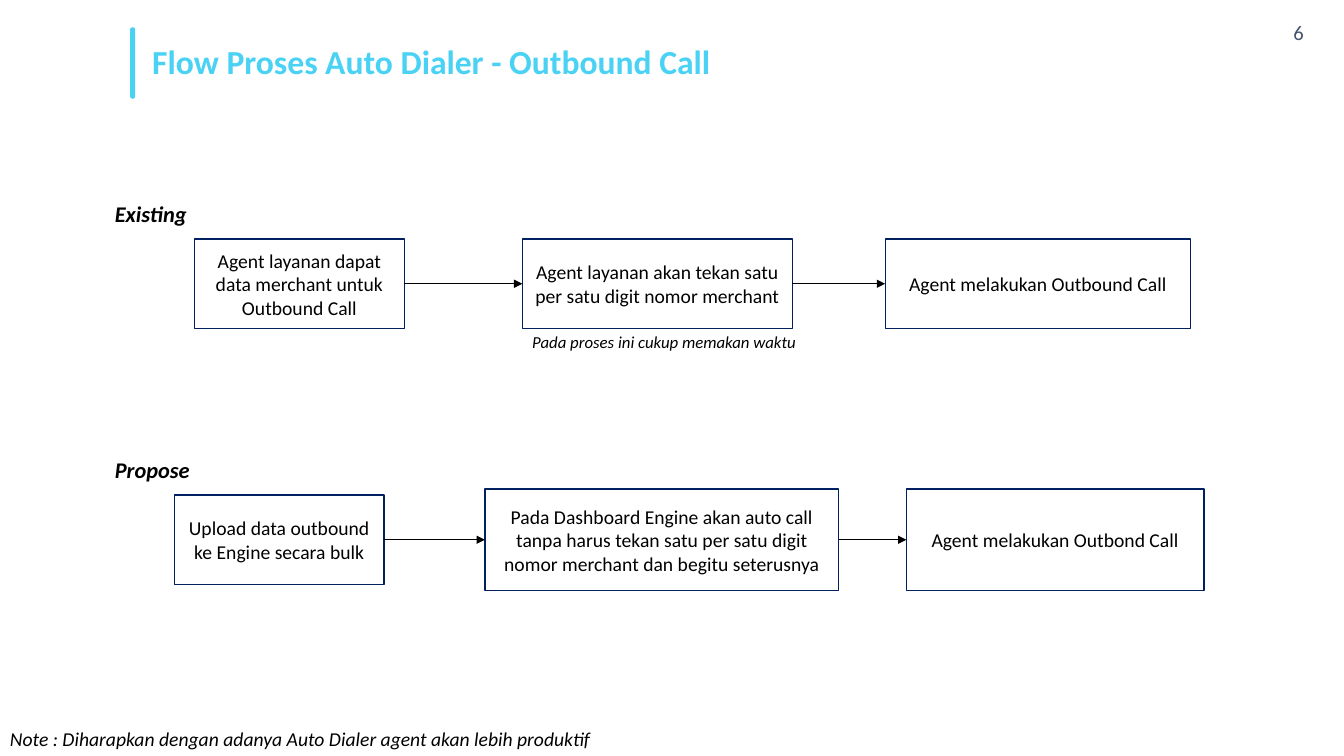
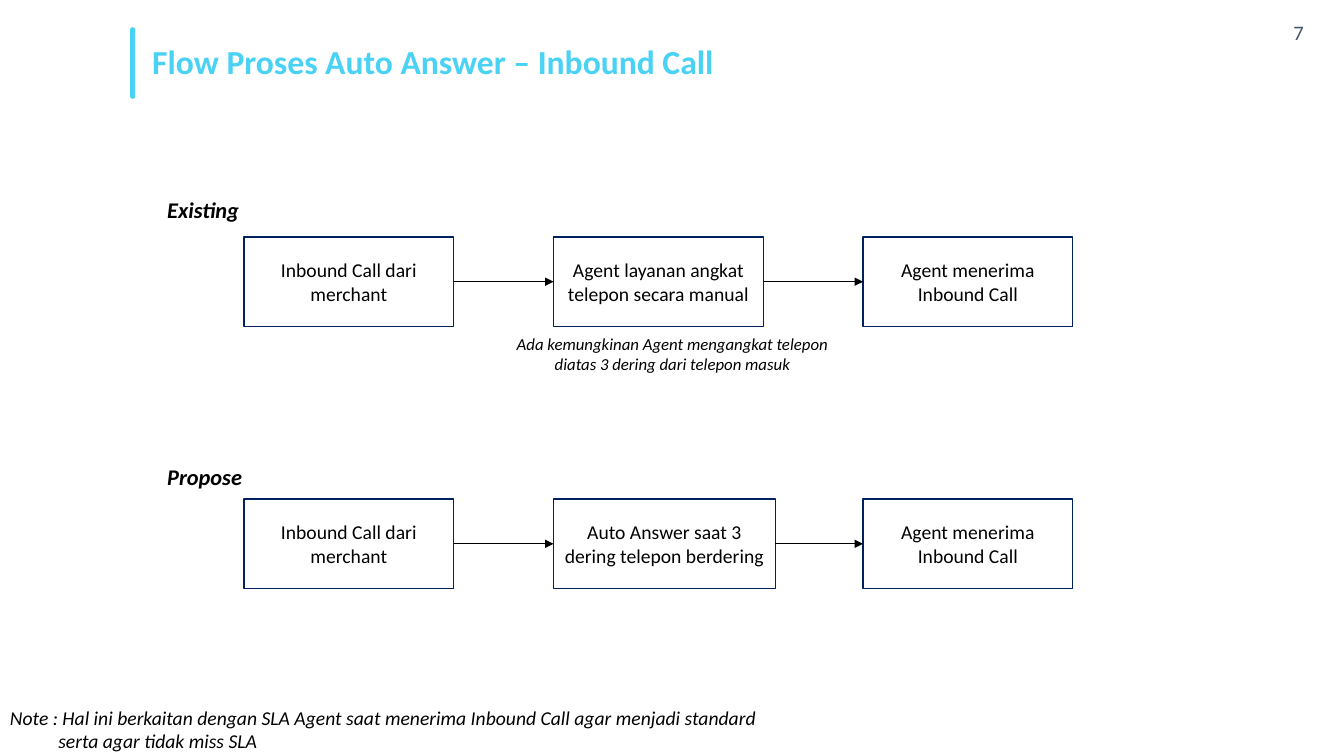
from lxml import etree
from pptx import Presentation
from pptx import util as u
from pptx.dml import color
from pptx.enum import shapes, text
from pptx.oxml import ns

EMU_PER_PX = 9144
FONT = "Calibri"
ACCENT = "4AD2F5"
NAVY = "002060"
SLATE = "44546A"
BLACK = "000000"
WHITE = "FFFFFF"
TITLE_ONLY = 5
NOTE_INDENT = 48
BOX_HEIGHT = 89


def px(value):
    return u.Emu(value * EMU_PER_PX)


def rgb(value):
    return color.RGBColor.from_string(value)


def place(left, top, width, height):
    return [px(value) for value in (left, top, width, height)]


def write(shape, content, size, ink=BLACK, bold=False, italic=False,
          align=text.PP_ALIGN.LEFT):
    frame = shape.text_frame
    frame.text = content
    frame.word_wrap = True
    paragraph = frame.paragraphs[0]
    paragraph.alignment = align
    for run in paragraph.runs:
        run.font.name = FONT
        run.font.size = u.Pt(size)
        run.font.bold = bold
        run.font.italic = italic
        run.font.color.rgb = rgb(ink)
    return paragraph


def add_label(slide, area, content, size, **style):
    return write(slide.shapes.add_textbox(*place(*area)), content, size, **style)


def add_panel(slide, kind, area, fill):
    panel = slide.shapes.add_shape(kind, *place(*area))
    panel.shadow.inherit = False
    panel.fill.solid()
    panel.fill.fore_color.rgb = rgb(fill)
    return panel


def add_step(slide, area, content):
    step = add_panel(slide, shapes.MSO_SHAPE.RECTANGLE, area, WHITE)
    step.line.color.rgb = rgb(NAVY)
    step.line.width = u.Pt(1)
    step.text_frame.vertical_anchor = text.MSO_ANCHOR.MIDDLE
    write(step, content, 14, align=text.PP_ALIGN.CENTER)
    return step


def add_arrow(slide, source, target):
    arrow = slide.shapes.add_connector(shapes.MSO_CONNECTOR.STRAIGHT, 0, 0, 0, 0)
    arrow.begin_connect(source, 3)
    arrow.end_connect(target, 1)
    arrow.line.color.rgb = rgb(BLACK)
    arrow.line.width = u.Pt(0.5)
    etree.SubElement(arrow.line._get_or_add_ln(), ns.qn("a:tailEnd"), type="triangle")
    etree.SubElement(arrow._element.spPr, ns.qn("a:effectLst"))


def add_flow(slide, heading, heading_left, heading_top, middle, steps):
    add_label(slide, (heading_left, heading_top, 172, 37), heading, 16,
              bold=True, italic=True)
    boxes = [add_step(slide, (left, middle - height // 2, width, height), content)
             for left, width, height, content in steps]
    for source, target in zip(boxes, boxes[1:]):
        add_arrow(slide, source, target)


def add_note(slide, area, content):
    paragraph = add_label(slide, area, content, 14, italic=True)
    properties = paragraph._p.get_or_add_pPr()
    properties.set("marL", str(px(NOTE_INDENT)))
    properties.set("indent", str(px(-NOTE_INDENT)))


def add_page(presentation, title, number):
    slide = presentation.slides.add_slide(presentation.slide_layouts[TITLE_ONLY])
    bar = add_panel(slide, shapes.MSO_SHAPE.ROUNDED_RECTANGLE, (129, 27, 5, 71), ACCENT)
    bar.adjustments[0] = 0.5
    bar.line.fill.background()
    add_label(slide, (1126, 15, 177, 19), str(number), 14.7, ink=SLATE,
              align=text.PP_ALIGN.RIGHT)
    heading = slide.shapes.title
    heading.left, heading.top, heading.width, heading.height = place(141, 47, 956, 39)
    heading.text_frame.auto_size = text.MSO_AUTO_SIZE.NONE
    heading.text_frame.vertical_anchor = text.MSO_ANCHOR.BOTTOM
    write(heading, title, 24, ink=ACCENT, bold=True).line_spacing = 0.9
    return slide


def build_outbound(presentation):
    slide = add_page(presentation, "Flow Proses Auto Dialer - Outbound Call", 6)
    add_flow(slide, "Existing", 104, 194, 281, [
        (193, 208, BOX_HEIGHT, "Agent layanan dapat data merchant untuk Outbound Call"),
        (518, 268, BOX_HEIGHT, "Agent layanan akan tekan satu per satu digit nomor merchant"),
        (878, 303, BOX_HEIGHT, "Agent melakukan Outbound Call"),
    ])
    add_label(slide, (518, 324, 288, 30), "Pada proses ini cukup memakan waktu", 12,
              italic=True)
    add_flow(slide, "Propose", 104, 448, 535, [
        (173, 208, BOX_HEIGHT, "Upload data outbound ke Engine secara bulk"),
        (481, 351, 101, "Pada Dashboard Engine akan auto call tanpa harus tekan "
                        "satu per satu digit nomor merchant dan begitu seterusnya"),
        (899, 295, 101, "Agent melakukan Outbond Call"),
    ])
    add_note(slide, (0, 716, 715, 34),
             "Note : Diharapkan dengan adanya Auto Dialer agent akan lebih produktif")


def build_inbound(presentation):
    slide = add_page(presentation, "Flow Proses Auto Answer – Inbound Call", 7)
    first = (242, 208, BOX_HEIGHT, "Inbound Call dari merchant")
    last = (856, 208, BOX_HEIGHT, "Agent menerima Inbound Call")
    add_flow(slide, "Existing", 156, 190, 279, [
        first,
        (549, 208, BOX_HEIGHT, "Agent layanan angkat telepon secara manual"),
        last,
    ])
    add_label(slide, (498, 326, 338, 50),
              "Ada kemungkinan Agent mengangkat telepon diatas 3 dering dari telepon masuk",
              12, italic=True, align=text.PP_ALIGN.CENTER)
    add_flow(slide, "Propose", 156, 455, 539, [
        first,
        (549, 220, BOX_HEIGHT, "Auto Answer saat 3 dering telepon berdering"),
        last,
    ])
    add_note(slide, (0, 695, 775, 57),
             "Note : Hal ini berkaitan dengan SLA Agent saat menerima Inbound Call "
             "agar menjadi standard serta agar tidak miss SLA")


def main():
    presentation = Presentation()
    presentation.slide_width = px(1333)
    presentation.slide_height = px(750)
    build_outbound(presentation)
    build_inbound(presentation)
    presentation.save("out.pptx")


if __name__ == "__main__":
    main()
